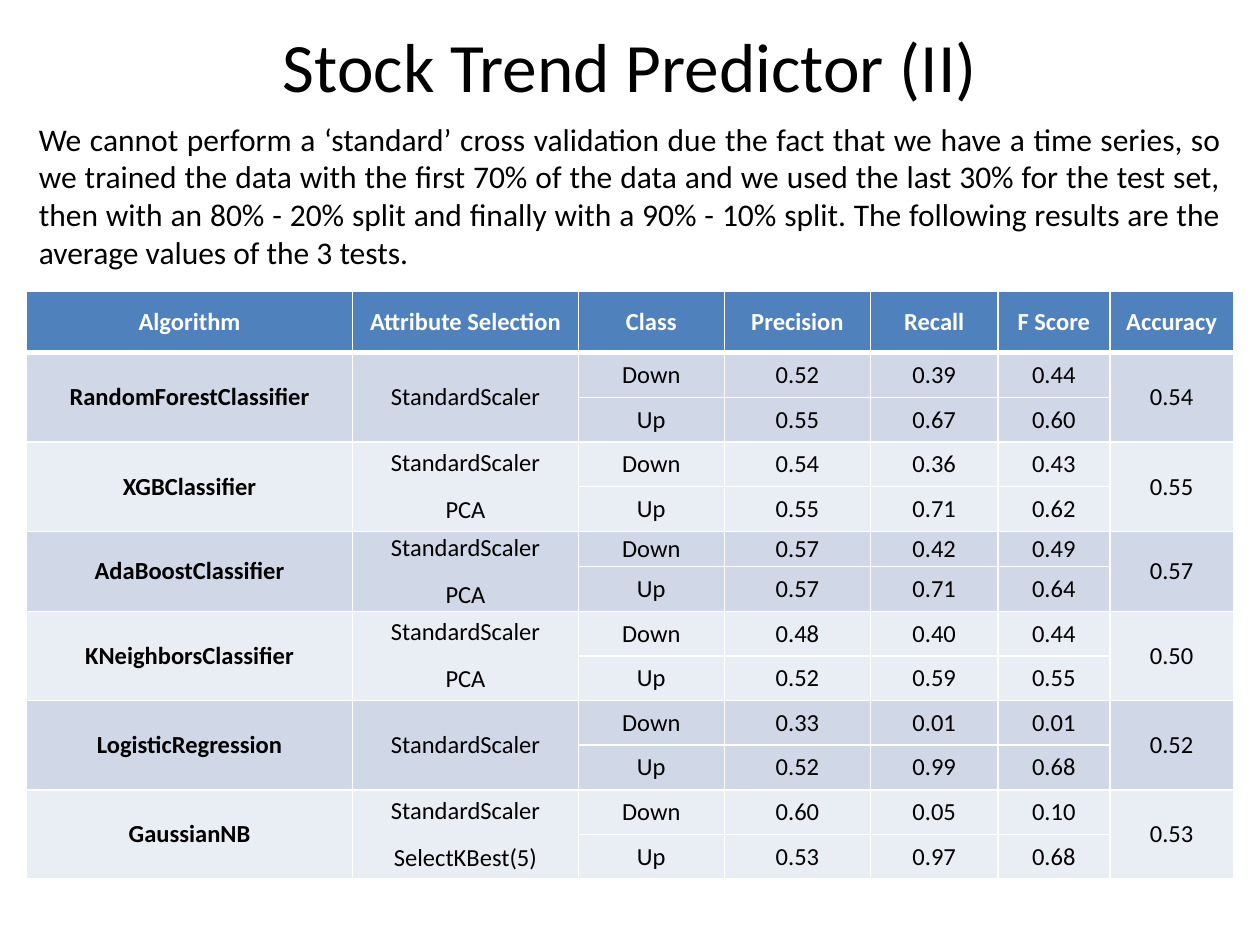
from lxml.etree import SubElement
from pptx import Presentation
from pptx.dml.color import RGBColor
from pptx.enum.text import MSO_ANCHOR, PP_ALIGN
from pptx.oxml.ns import qn
from pptx.util import Inches, Pt

HUES = {"black": "000000", "white": "FFFFFF", "head": "4F81BD",
        "dark": "D0D8E8", "light": "E9EDF4"}
FONT = "Calibri"
LEFT, WIDTH = 0.21, 9.58
TITLE = "Stock Trend Predictor (II)"
INTRO = ("We cannot perform a ‘standard’ cross validation due the fact that we "
         "have a time series, so we trained the data with the first 70% of the "
         "data and we used the last 30% for the test set, then with an 80% - 20% "
         "split and finally with a 90% - 10% split. The following results are "
         "the average values of the 3 tests.")
HEADS = ["Algorithm", "Attribute Selection", "Class", "Precision", "Recall",
         "F Score", "Accuracy"]
COLS = [2.59, 1.79, 1.16, 1.16, 1.01, 0.89, 0.98]
HIGH, HEAD_H, SLIM_H, SLIM_ROW = 4.67, 0.49, 0.28, 5
MODELS = [
    ("RandomForestClassifier", ["StandardScaler"],
     ["0.52", "0.39", "0.44"], ["0.55", "0.67", "0.60"], "0.54"),
    ("XGBClassifier", ["StandardScaler", "PCA"],
     ["0.54", "0.36", "0.43"], ["0.55", "0.71", "0.62"], "0.55"),
    ("AdaBoostClassifier", ["StandardScaler", "PCA"],
     ["0.57", "0.42", "0.49"], ["0.57", "0.71", "0.64"], "0.57"),
    ("KNeighborsClassifier", ["StandardScaler", "PCA"],
     ["0.48", "0.40", "0.44"], ["0.52", "0.59", "0.55"], "0.50"),
    ("LogisticRegression", ["StandardScaler"],
     ["0.33", "0.01", "0.01"], ["0.52", "0.99", "0.68"], "0.52"),
    ("GaussianNB", ["StandardScaler", "SelectKBest(5)"],
     ["0.60", "0.05", "0.10"], ["0.53", "0.97", "0.68"], "0.53"),
]


def add_run(para, text, size, hue="black", bold=False):
    """Add one styled run to a paragraph."""
    run = para.add_run()
    run.text = text
    font = run.font
    font.name, font.size, font.bold = FONT, Pt(size), bold
    font.color.rgb = RGBColor.from_string(HUES[hue])


def add_text(slide, text, top, high, size, align, anchor):
    """Add a wrapped text box across the content width."""
    box = slide.shapes.add_textbox(Inches(LEFT), Inches(top), Inches(WIDTH),
                                   Inches(high))
    frame = box.text_frame
    frame.word_wrap = True
    frame.vertical_anchor = anchor
    para = frame.paragraphs[0]
    para.alignment = align
    add_run(para, text, size)


def set_edges(cell, top=1, bottom=1):
    """Draw white borders, with widths in points."""
    props = cell._tc.get_or_add_tcPr()
    sides = {"a:lnL": 1, "a:lnR": 1, "a:lnT": top, "a:lnB": bottom}
    for place, (tag, width) in enumerate(sides.items()):
        line = SubElement(props, qn(tag), w=str(Pt(width)))
        fill = SubElement(line, qn("a:solidFill"))
        SubElement(fill, qn("a:srgbClr"), val=HUES["white"])
        props.insert(place, line)


def fill_cell(cell, lines, hue="black", bold=False, gap=10):
    """Write centred lines into a table cell."""
    cell.vertical_anchor = MSO_ANCHOR.MIDDLE
    cell.margin_left = cell.margin_right = Inches(0.07)
    cell.margin_top = cell.margin_bottom = 0
    frame = cell.text_frame
    for i, text in enumerate(lines):
        para = frame.add_paragraph() if i else frame.paragraphs[0]
        para.alignment = PP_ALIGN.CENTER
        para.space_before = Pt(gap)
        add_run(para, text, 14, hue, bold)


def add_model(table, row, model):
    """Fill the two rows of one model and merge its shared cells."""
    name, steps, down, up, score = model
    for col, lines in ((0, [name]), (1, steps), (6, [score])):
        cell = table.cell(row, col)
        cell.merge(table.cell(row + 1, col))
        fill_cell(cell, lines, bold=col == 0)
    for i, texts in enumerate((["Down"] + down, ["Up"] + up)):
        for col, text in enumerate(texts, 2):
            fill_cell(table.cell(row + i, col), [text])


def paint(table):
    """Set the fill and borders of every cell."""
    for r, row in enumerate(table.rows):
        hue = "head" if r == 0 else ("dark", "light")[(r - 1) // 2 % 2]
        for cell in row.cells:
            cell.fill.solid()
            cell.fill.fore_color.rgb = RGBColor.from_string(HUES[hue])
            set_edges(cell, 3 if r == 1 else 1, 3 if r == 0 else 1)


def add_scores(slide):
    """Add the table of scores."""
    count = 1 + 2 * len(MODELS)
    table = slide.shapes.add_table(count, len(COLS), Inches(LEFT), Inches(2.31),
                                   Inches(WIDTH), Inches(HIGH)).table
    for col, width in zip(table.columns, COLS):
        col.width = Inches(width)
    tall = (HIGH - HEAD_H - SLIM_H) / (count - 2)
    for r, row in enumerate(table.rows):
        row.height = Inches({0: HEAD_H, SLIM_ROW: SLIM_H}.get(r, tall))
    for col, text in enumerate(HEADS):
        fill_cell(table.cell(0, col), [text], "white", True, 0 if col == 1 else 10)
    for i, model in enumerate(MODELS):
        add_model(table, 1 + 2 * i, model)
    paint(table)


def main():
    """Build the slide and save it."""
    deck = Presentation()
    deck.slide_width, deck.slide_height = Inches(10), Inches(7.5)
    slide = deck.slides.add_slide(deck.slide_layouts[6])
    add_text(slide, TITLE, -0.11, 1.25, 39.6, PP_ALIGN.CENTER, MSO_ANCHOR.MIDDLE)
    add_scores(slide)
    add_text(slide, INTRO, 0.9, 1.31, 18, PP_ALIGN.JUSTIFY, MSO_ANCHOR.TOP)
    deck.save("out.pptx")


main()
